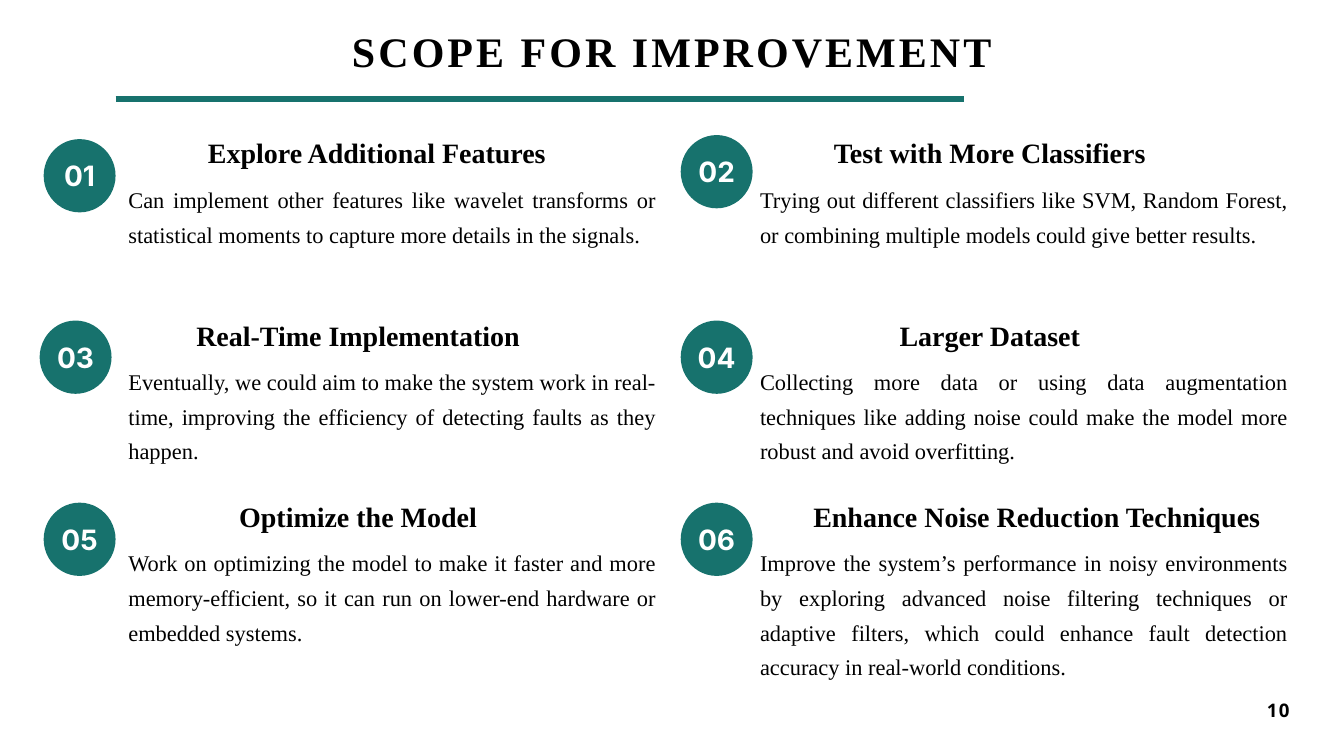
from dataclasses import dataclass

from lxml import etree
from pptx import Presentation
from pptx import util as u
from pptx.dml.color import RGBColor
from pptx.enum import shapes, text
from pptx.oxml.ns import qn

EMU_PER_PX = 9144


@dataclass(frozen=True)
class Style:
    font: str
    size: int
    leading: float
    color: RGBColor
    align: text.PP_ALIGN
    bold: bool = True
    tracking: int = 0


class Theme:
    accent = RGBColor(0x17, 0x72, 0x6D)
    black = RGBColor(0, 0, 0)
    white = RGBColor(255, 255, 255)
    serif = "Times New Roman"
    rule_width = 6
    title = Style(serif, 45, 63, black, text.PP_ALIGN.CENTER, tracking=330)
    heading = Style(serif, 30, 42, black, text.PP_ALIGN.CENTER)
    body = Style(serif, 24, 37.2, black, text.PP_ALIGN.JUSTIFY, bold=False)
    badge = Style("Inter", 30, 42, white, text.PP_ALIGN.CENTER)
    page = Style("Open Sans", 20, 31, black, text.PP_ALIGN.RIGHT, tracking=150)


@dataclass(frozen=True)
class Item:
    heading: str
    body: str
    badge_offset: tuple
    heading_left: int = 97
    heading_width: int = 490
    body_height: int = 156


ITEMS = [
    Item("Explore Additional Features",
         "Can implement other features like wavelet transforms or statistical "
         "moments to capture more details in the signals.",
         (-126, 13), heading_width=546),
    Item("Test with More Classifiers",
         "Trying out different classifiers like SVM, Random Forest, or combining "
         "multiple models could give better results.",
         (-118, 7)),
    Item("Real-Time Implementation",
         "Eventually, we could aim to make the system work in real-time, improving "
         "the efficiency of detecting faults as they happen.",
         (-132, 12)),
    Item("Larger Dataset",
         "Collecting more data or using data augmentation techniques like adding "
         "noise could make the model more robust and avoid overfitting.",
         (-118, 12)),
    Item("Optimize the Model",
         "Work on optimizing the model to make it faster and more memory-efficient, "
         "so it can run on lower-end hardware or embedded systems.",
         (-126, 13)),
    Item("Enhance Noise Reduction Techniques",
         "Improve the system’s performance in noisy environments by exploring "
         "advanced noise filtering techniques or adaptive filters, which could "
         "enhance fault detection accuracy in real-world conditions.",
         (-118, 13), heading_left=68, heading_width=688, body_height=207),
]

COLUMN_LEFTS = (191, 1131)
ROW_TOPS = (194, 465, 735)
COLUMN_WIDTH = 785


def px(*lengths):
    return [u.Emu(length * EMU_PER_PX) for length in lengths]


def write(shape, content, style, anchor=text.MSO_ANCHOR.TOP, wrap=True):
    frame = shape.text_frame
    frame.text = content
    frame.word_wrap = wrap
    frame.auto_size = text.MSO_AUTO_SIZE.NONE
    frame.vertical_anchor = anchor
    frame.margin_left = frame.margin_right = 0
    frame.margin_top = frame.margin_bottom = 0
    paragraph = frame.paragraphs[0]
    paragraph.alignment = style.align
    paragraph.line_spacing = u.Pt(style.leading)
    paragraph.space_before = u.Pt(0)
    font = paragraph.font
    font.name = style.font
    font.size = u.Pt(style.size)
    font.bold = style.bold
    font.color.rgb = style.color
    if style.tracking:
        paragraph.runs[0].font._element.set("spc", str(style.tracking))


def add_text(slide, box, content, style):
    write(slide.shapes.add_textbox(*px(*box)), content, style)


def add_header(slide, left, top, width):
    title = slide.shapes.title
    title.left, title.top, title.width, title.height = px(left, top, width, 93)
    write(title, "SCOPE FOR IMPROVEMENT", Theme.title)
    rule_top = top + 122
    rule = slide.shapes.add_connector(
        shapes.MSO_CONNECTOR.STRAIGHT,
        *px(left + 172, rule_top, left + 1435, rule_top))
    rule.line.color.rgb = Theme.accent
    rule.line.width = u.Pt(Theme.rule_width)
    etree.SubElement(rule._element.spPr, qn("a:effectLst"))


def add_badge(slide, left, top, number):
    badge = slide.shapes.add_shape(
        shapes.MSO_SHAPE.OVAL, *px(left, top, 107, 109))
    badge.shadow.inherit = False
    badge.fill.solid()
    badge.fill.fore_color.rgb = Theme.accent
    badge.line.fill.background()
    write(badge, f"{number:02d}", Theme.badge, text.MSO_ANCHOR.MIDDLE, wrap=False)
    badge.text_frame.margin_bottom = px(9)[0]


def add_item(slide, left, top, number, item):
    badge_left, badge_top = item.badge_offset
    add_badge(slide, left + badge_left, top + badge_top, number)
    add_text(slide, (left + item.heading_left, top, item.heading_width, 61),
             item.heading, Theme.heading)
    add_text(slide, (left, top + 71, COLUMN_WIDTH, item.body_height),
             item.body, Theme.body)


def add_items(slide):
    for index, item in enumerate(ITEMS):
        row, column = divmod(index, len(COLUMN_LEFTS))
        add_item(slide, COLUMN_LEFTS[column], ROW_TOPS[row], index + 1, item)


def main():
    presentation = Presentation()
    presentation.slide_width, presentation.slide_height = px(2000, 1125)
    slide = presentation.slides.add_slide(presentation.slide_layouts[5])
    slide.background.fill.solid()
    slide.background.fill.fore_color.rgb = Theme.white
    add_header(slide, 0, 25, 2000)
    add_items(slide)
    add_text(slide, (1883, 1030, 36, 40), "10", Theme.page)
    presentation.save("out.pptx")


if __name__ == "__main__":
    main()
